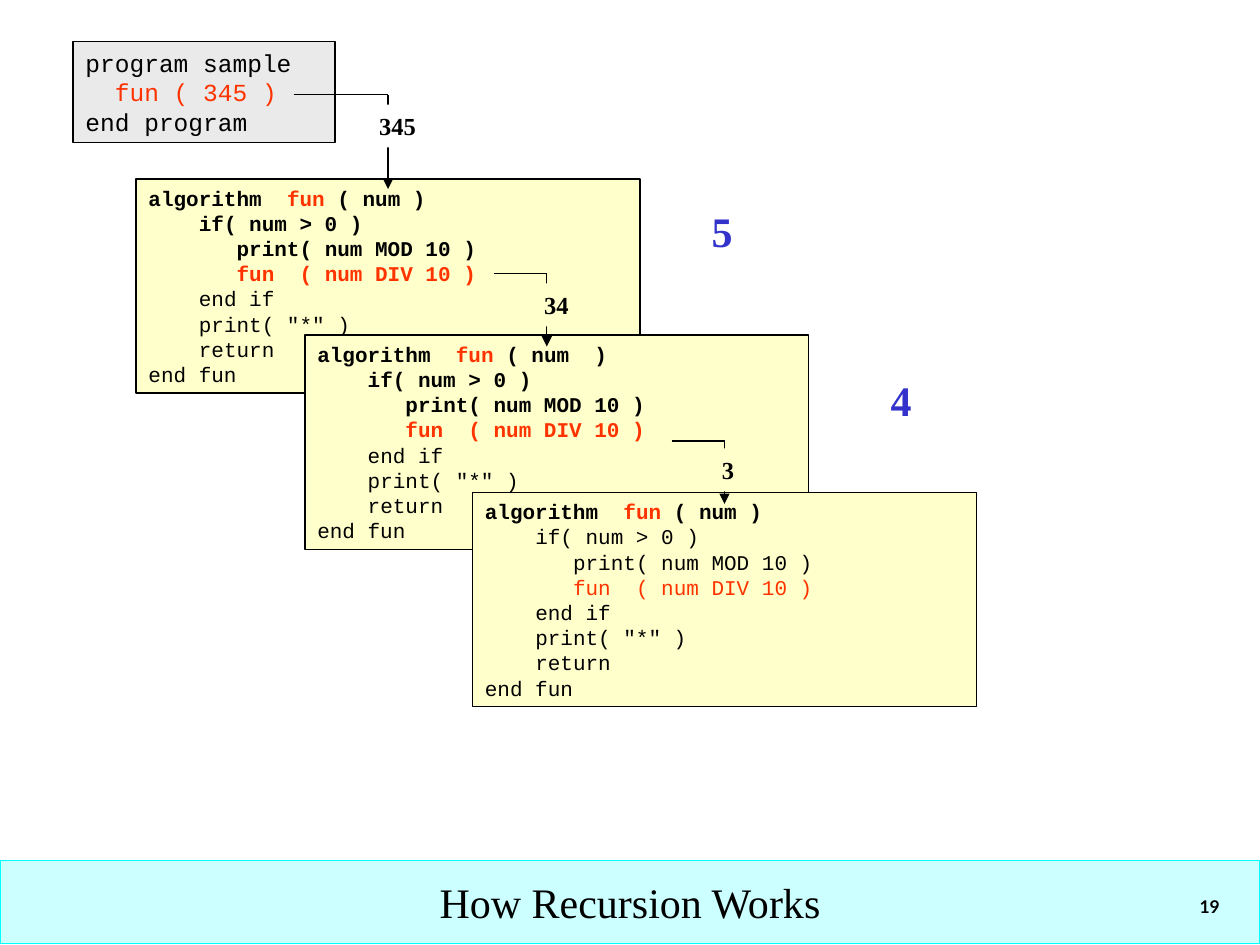
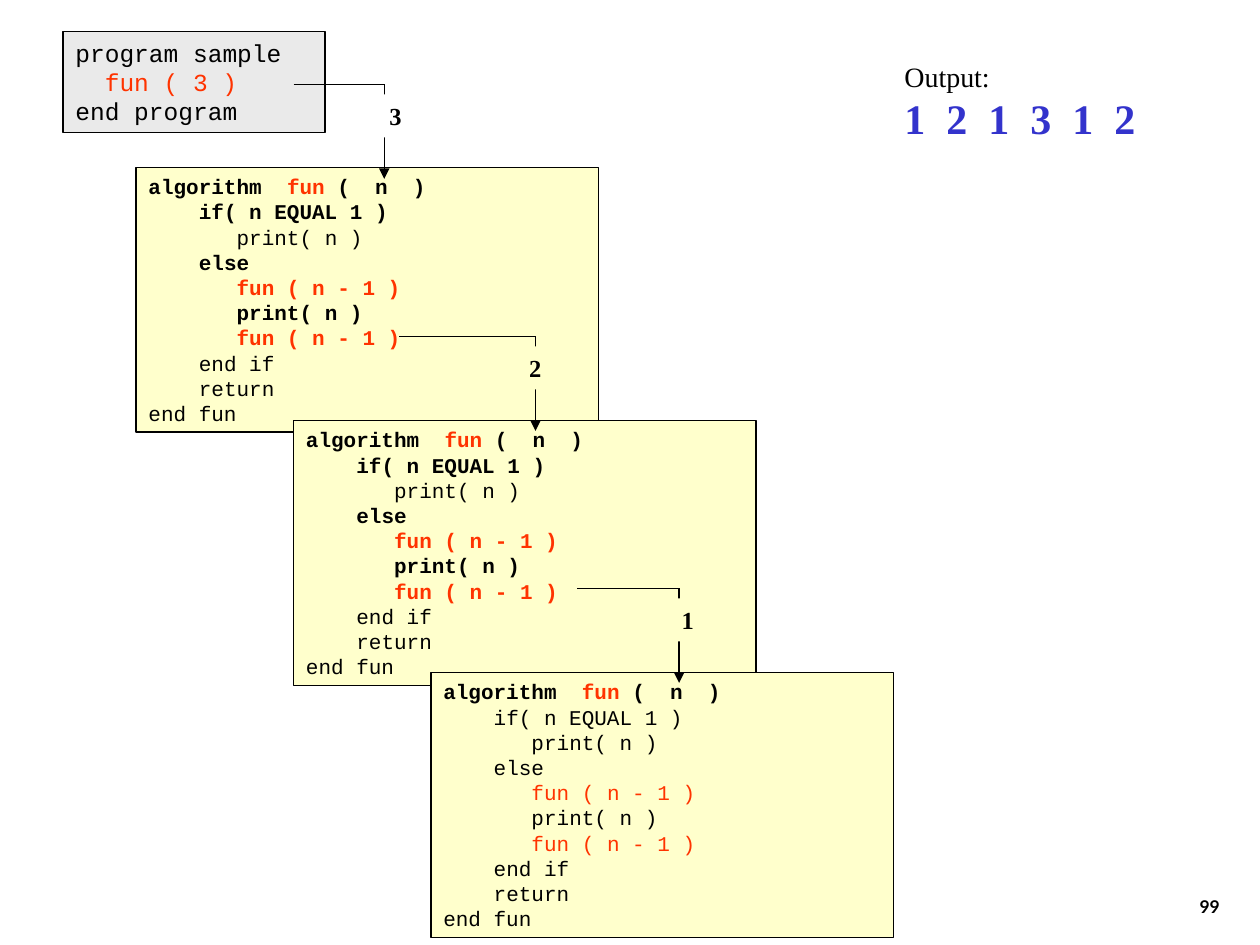
from dataclasses import dataclass, field
from typing import NamedTuple, Optional

from lxml.etree import SubElement
from pptx import Presentation
from pptx.dml.color import RGBColor
from pptx.enum.shapes import MSO_CONNECTOR, MSO_SHAPE
from pptx.enum.text import MSO_ANCHOR, MSO_AUTO_SIZE, PP_ALIGN
from pptx.oxml.ns import qn
from pptx.slide import Slide
from pptx.util import Inches, Pt


@dataclass(frozen=True)
class Theme:
    black: str = "000000"
    white: str = "FFFFFF"
    call: str = "FF3300"
    output: str = "3333CC"
    code_fill: str = "FFFFCC"
    program_fill: str = "EAEAEA"
    band_fill: str = "CCFFFF"
    band_line: str = "00FFFF"
    code_font: str = "Courier New"
    text_font: str = "Times New Roman"
    number_font: str = "Lato"
    number_size: int = 10
    code_size: int = 12
    program_size: int = 14
    label_size: int = 14
    heading_size: int = 16
    large_size: int = 24
    line_width: float = 0.75


THEME = Theme()
COURIER_ADVANCE = 0.6  # character width as a share of the type size


class Box(NamedTuple):
    left: float
    top: float
    width: float
    height: float


class Run(NamedTuple):
    text: str
    color: str = THEME.black
    bold: bool = False
    size: int = THEME.code_size
    font: str = THEME.code_font


class Line(NamedTuple):
    runs: list[Run]
    indent: float = 0  # points


class CodeLine(NamedTuple):
    text: str
    indent: int = 0  # characters
    color: str = THEME.black


@dataclass(frozen=True)
class Look:
    fill: Optional[str] = None
    line: Optional[str] = None
    wrap: bool = True
    grow: bool = True
    align: PP_ALIGN = PP_ALIGN.LEFT
    anchor: MSO_ANCHOR = MSO_ANCHOR.TOP
    left_inset: float = 0.1


class Frame(NamedTuple):
    """One activation of the algorithm, with the numbers of its bold lines."""
    left: float
    top: float
    parameter: str
    bold_lines: set[int]


class Call(NamedTuple):
    """An elbow arrow from a call to the next frame, with the value passed."""
    start: float
    turn: float
    top: float
    bottom: float
    value: str
    label: Box
    fill: str = THEME.code_fill
    left_inset: float = 0.1


class Output(NamedTuple):
    box: Box
    text: str
    heading: str = ""


@dataclass(frozen=True)
class Trace:
    number: str
    program_left: float
    program_top: float
    argument: str
    frame_width: float
    frame_height: float
    body: list[CodeLine]
    frames: list[Frame]
    calls: list[Call]
    outputs: list[Output] = field(default_factory=list)
    title: str = ""


PRINT_DIGITS = [
    CodeLine("if( num > 0 )", 4),
    CodeLine("print( num MOD 10 )", 7),
    CodeLine("fun  ( num DIV 10 )", 7, THEME.call),
    CodeLine("end if", 4),
    CodeLine('print( "*" )', 4),
    CodeLine("return", 4),
    CodeLine("end fun"),
]
CALL_TWICE = [
    CodeLine("if( n EQUAL 1 )", 4),
    CodeLine("print( n )", 7),
    CodeLine("else", 4),
    CodeLine("fun ( n - 1 )", 7, THEME.call),
    CodeLine("print( n )", 7),
    CodeLine("fun ( n - 1 )", 7, THEME.call),
    CodeLine("end if", 4),
    CodeLine("return", 4),
    CodeLine("end fun"),
]
DIGITS_DONE = {0, 1, 2, 3}
TWICE_DONE = {0, 1, 3, 4, 5, 6}
JUST_ENTERED = {0}

TRACES = [
    Trace(
        "19", 0.58, 0.33, "345", 4, 1.7, PRINT_DIGITS,
        frames=[
            Frame(1.08, 1.42, "( num )", DIGITS_DONE),
            Frame(2.42, 2.66, "( num  )", DIGITS_DONE),
            Frame(3.75, 3.91, "( num )", JUST_ENTERED),
        ],
        calls=[
            Call(2.33, 3.08, 0.75, 1.5, "345", Box(2.91, 0.83, 0.51, 0.34), THEME.white),
            Call(3.92, 4.34, 2.17, 2.75, "34", Box(4.22, 2.25, 0.42, 0.34)),
            Call(5.33, 5.75, 3.5, 4, "3", Box(5.63, 3.56, 0.31, 0.34)),
        ],
        outputs=[
            Output(Box(5.55, 1.58, 0.36, 0.5), "5"),
            Output(Box(6.97, 2.92, 0.36, 0.5), "4"),
        ],
        title="How Recursion Works",
    ),
    Trace(
        "99", 0.5, 0.25, "3", 3.67, 2.1, CALL_TWICE,
        frames=[
            Frame(1.08, 1.33, "(  n  )", TWICE_DONE),
            Frame(2.33, 3.34, "(  n  )", TWICE_DONE),
            Frame(3.42, 5.34, "(  n  )", JUST_ENTERED),
        ],
        calls=[
            Call(2.33, 3.05, 0.67, 1.42, "3", Box(2.89, 0.75, 0.41, 0.34), THEME.white, 0.2),
            Call(3.17, 4.25, 2.67, 3.42, "2", Box(3.95, 2.75, 0.46, 0.34), left_inset=0.25),
            Call(4.58, 5.39, 4.67, 5.42, "1", Box(5.16, 4.75, 0.46, 0.34), left_inset=0.25),
        ],
        outputs=[Output(Box(7.08, 0.42, 2.42, 0.77), "1  2  1  3  1  2", "Output:")],
    ),
]


def draw_text(slide: Slide, box: Box, lines: list[Line], look: Look) -> None:
    """Draw a filled rectangle, or a plain text box if the look has no fill."""
    place = [Inches(length) for length in box]
    if look.fill:
        shape = slide.shapes.add_shape(MSO_SHAPE.RECTANGLE, *place)
        shape.shadow.inherit = False
        shape.fill.solid()
        shape.fill.fore_color.rgb = RGBColor.from_string(look.fill)
        if look.line:
            shape.line.color.rgb = RGBColor.from_string(look.line)
            shape.line.width = Pt(THEME.line_width)
        else:
            shape.line.fill.background()
    else:
        shape = slide.shapes.add_textbox(*place)
    frame = shape.text_frame
    settings = {
        "word_wrap": look.wrap,
        "auto_size": MSO_AUTO_SIZE.SHAPE_TO_FIT_TEXT if look.grow else MSO_AUTO_SIZE.NONE,
        "vertical_anchor": look.anchor,
        "margin_left": Inches(look.left_inset),
        "margin_right": Inches(0.1),
        "margin_top": Inches(0.05),
        "margin_bottom": Inches(0.05),
    }
    for name, value in settings.items():
        setattr(frame, name, value)
    for index, line in enumerate(lines):
        paragraph = frame.add_paragraph() if index else frame.paragraphs[0]
        paragraph.alignment = look.align
        if line.indent:
            properties = paragraph._p.get_or_add_pPr()
            properties.set("marL", str(int(Pt(line.indent))))
            properties.set("indent", "0")
        for part in line.runs:
            run = paragraph.add_run()
            run.text = part.text
            formats = {"name": part.font, "size": Pt(part.size), "bold": part.bold}
            for name, value in formats.items():
                setattr(run.font, name, value)
            run.font.color.rgb = RGBColor.from_string(part.color)


def code_line(line: CodeLine, size: int, bold: bool = False) -> Line:
    run = Run(line.text, line.color, bold, size)
    return Line([run], line.indent * size * COURIER_ADVANCE)


def draw_program(slide: Slide, trace: Trace) -> None:
    program = [
        CodeLine("program sample"),
        CodeLine(f"fun ( {trace.argument} )", 2, THEME.call),
        CodeLine("end program"),
    ]
    box = Box(trace.program_left, trace.program_top, 2.08, 0.8)
    lines = [code_line(line, THEME.program_size) for line in program]
    draw_text(slide, box, lines, Look(THEME.program_fill, THEME.black))


def draw_frame(slide: Slide, trace: Trace, frame: Frame) -> None:
    header = Line([
        Run("algorithm  ", bold=True),
        Run("fun ", THEME.call, True),
        Run(frame.parameter, bold=True),
    ])
    body = [
        code_line(line, THEME.code_size, number in frame.bold_lines)
        for number, line in enumerate(trace.body, start=1)
    ]
    box = Box(frame.left, frame.top, trace.frame_width, trace.frame_height)
    draw_text(slide, box, [header, *body], Look(THEME.code_fill, THEME.black))


def draw_line(slide: Slide, start: tuple[float, float], end: tuple[float, float],
              arrow: bool = False) -> None:
    ends = [Inches(length) for length in (*start, *end)]
    connector = slide.shapes.add_connector(MSO_CONNECTOR.STRAIGHT, *ends)
    connector.line.color.rgb = RGBColor.from_string(THEME.black)
    connector.line.width = Pt(THEME.line_width)
    if arrow:
        SubElement(connector.line._get_or_add_ln(), qn("a:tailEnd"), type="triangle")
    SubElement(connector._element.spPr, qn("a:effectLst"))


def draw_call(slide: Slide, call: Call) -> None:
    corner = (call.turn, call.top)
    draw_line(slide, (call.start, call.top), corner)
    draw_line(slide, corner, (call.turn, call.bottom), arrow=True)
    value = Run(call.value, bold=True, size=THEME.label_size, font=THEME.text_font)
    look = Look(call.fill, wrap=False, left_inset=call.left_inset)
    draw_text(slide, call.label, [Line([value])], look)


def draw_output(slide: Slide, output: Output) -> None:
    lines = [Line([Run(output.text, THEME.output, True, THEME.large_size, THEME.text_font)])]
    if output.heading:
        heading = Run(output.heading, size=THEME.heading_size, font=THEME.text_font)
        lines.insert(0, Line([heading]))
    draw_text(slide, output.box, lines, Look(wrap=bool(output.heading)))


def draw_footer(slide: Slide, trace: Trace) -> None:
    if trace.title:
        title = Run(trace.title, size=THEME.large_size, font=THEME.text_font)
        band = Look(THEME.band_fill, THEME.band_line, wrap=False, grow=False,
                    align=PP_ALIGN.CENTER, anchor=MSO_ANCHOR.MIDDLE)
        draw_text(slide, Box(0, 6.83, 10, 0.66), [Line([title])], band)
    number = Run(trace.number, bold=True, size=THEME.number_size, font=THEME.number_font)
    corner = Look(grow=False, align=PP_ALIGN.RIGHT, anchor=MSO_ANCHOR.BOTTOM)
    draw_text(slide, Box(7.7, 6.83, 2.08, 0.5), [Line([number])], corner)


def main() -> None:
    presentation = Presentation()
    presentation.slide_width = Inches(10)
    presentation.slide_height = Inches(7.5)
    for trace in TRACES:
        slide = presentation.slides.add_slide(presentation.slide_layouts[6])
        draw_program(slide, trace)
        for frame in trace.frames:
            draw_frame(slide, trace, frame)
        for call in trace.calls:
            draw_call(slide, call)
        for output in trace.outputs:
            draw_output(slide, output)
        draw_footer(slide, trace)
    presentation.save("out.pptx")


if __name__ == "__main__":
    main()
